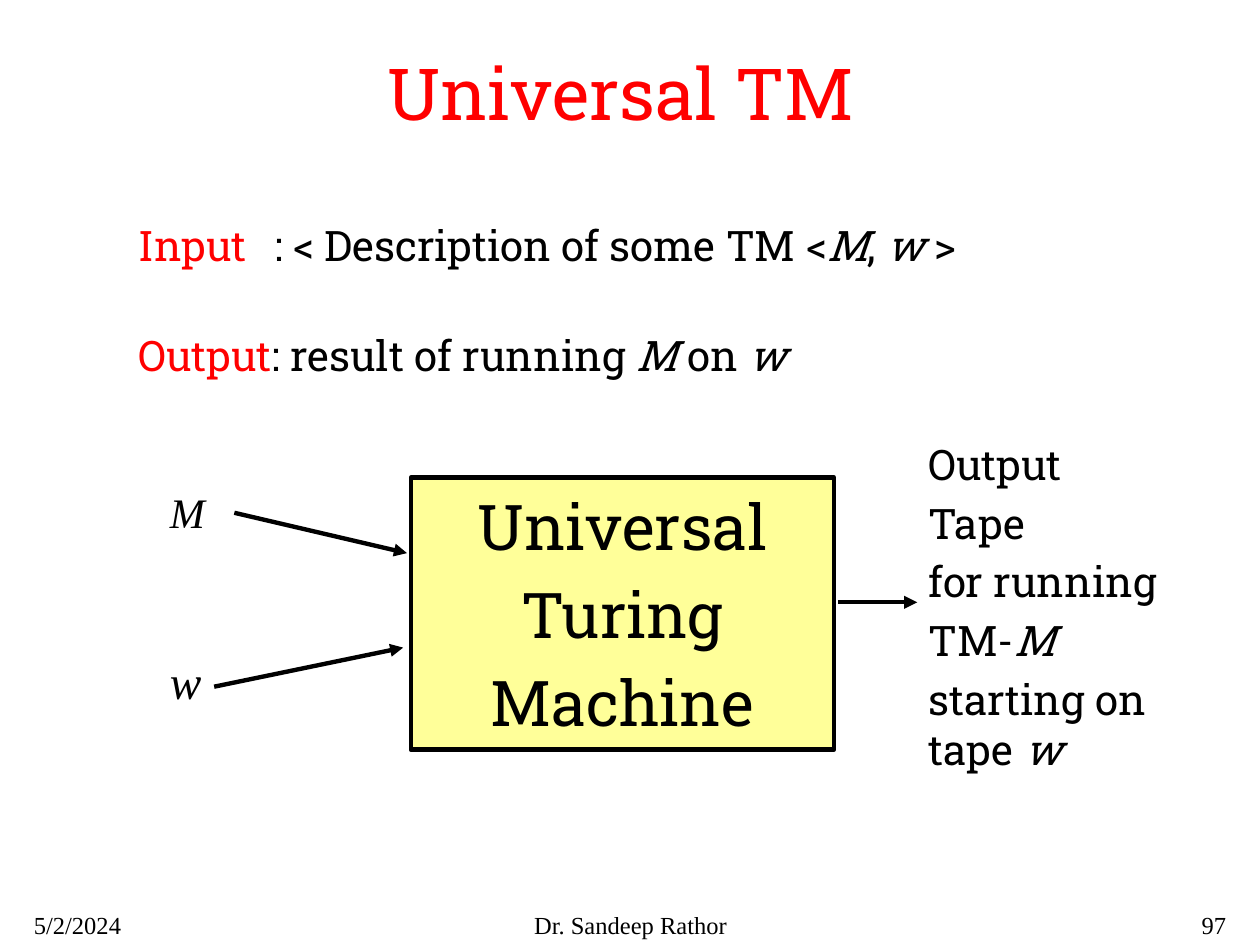
from lxml import etree
from pptx import Presentation
from pptx.dml.color import RGBColor
from pptx.enum.shapes import MSO_CONNECTOR as CONN, MSO_SHAPE as SHAPE
from pptx.enum.text import MSO_ANCHOR as ANCHOR, PP_ALIGN as ALIGN
from pptx.oxml.ns import qn
from pptx.util import Inches, Pt

COLORS = {"red": "FF0000", "black": "000000", "yellow": "FFFF99", "line": "000000"}
SLAB, TIMES = "Roboto Slab", "Times New Roman"


def rgb(name):
    return RGBColor.from_string(COLORS[name])


def set_text(sp, paragraphs, size=24, font=SLAB, align=ALIGN.LEFT,
             anchor=ANCHOR.TOP, gap=None, wrap=True, tab=None):
    """Each paragraph is a list of strings or (string, style) pairs."""
    tf = sp.text_frame
    tf.word_wrap, tf.vertical_anchor = wrap, anchor
    for i, parts in enumerate(paragraphs):
        p = tf.paragraphs[0] if i == 0 else tf.add_paragraph()
        p.alignment = align
        if i:
            p.space_before = Pt(size * 0.2 if gap is None else gap)
        if tab and i == 0:
            tabs = etree.SubElement(p._p.get_or_add_pPr(), qn("a:tabLst"))
            etree.SubElement(tabs, qn("a:tab"), pos=str(Inches(tab)), algn="l")
        for part in parts:
            if part == "\n":
                p.add_line_break()
                continue
            text, style = part if isinstance(part, tuple) else (part, "")
            r = p.add_run()
            r.text = text
            r.font.name, r.font.size = font, Pt(size)
            r.font.italic = style == "italic"
            r.font.color.rgb = rgb("red" if style == "red" else "black")


def add_text(slide, box, paragraphs, **fmt):
    sp = slide.shapes.add_textbox(*map(Inches, box))
    set_text(sp, paragraphs, **fmt)


def add_arrow(slide, start, end):
    line = slide.shapes.add_connector(CONN.STRAIGHT, *map(Inches, start + end))
    line.line.color.rgb = rgb("line")
    line.line.width = Pt(2.5)
    etree.SubElement(line.line._get_or_add_ln(), qn("a:tailEnd"), type="triangle")
    etree.SubElement(line._element.spPr, qn("a:effectLst"))


def add_definition(slide, box):
    add_text(slide, box, [
        [("Input", "red"), "\t: < Description of some TM <", ("M", "italic"), ", ",
         ("w", "italic"), " >"],
        [("Output", "red"), ": result of running ", ("M", "italic"), " on ",
         ("w", "italic")],
    ], gap=34, tab=1.08)


def add_machine(slide, box):
    x, y, w, h = box
    sp = slide.shapes.add_shape(SHAPE.RECTANGLE, *map(Inches, box))
    sp.shadow.inherit = False
    sp.fill.solid()
    sp.fill.fore_color.rgb = rgb("yellow")
    sp.line.color.rgb = rgb("line")
    sp.line.width = Pt(2.5)
    set_text(sp, [["Universal"], ["Turing"], ["Machine"]], size=36,
             align=ALIGN.CENTER, anchor=ANCHOR.MIDDLE)

    # Inputs on the left
    add_text(slide, (x - 2.01, y + 0.02, 0.94, 0.51), [[("M", "italic")]], font=TIMES)
    add_text(slide, (x - 2.01, y + 1.34, 0.45, 0.56), [[("w", "italic")]],
             size=27, font=TIMES, wrap=False)
    add_arrow(slide, (x - 1.4, y + 0.28), (x - 0.03, y + 0.6))
    add_arrow(slide, (x - 1.56, y + 1.66), (x - 0.06, y + 1.35))

    # Output on the right
    right = x + w
    add_arrow(slide, (right + 0.03, y + 0.99), (right + 0.66, y + 0.99))
    add_text(slide, (right + 0.65, y - 0.36, 2.65, 2.85), [
        ["Output"], ["Tape"], ["for running"], ["TM-", ("M", "italic")],
        ["starting on", "\n", "tape ", ("w", "italic")],
    ])


def add_footer(slide, box):
    x, y, w, h = box
    for text, left, width, align in (
        ("5/2/2024", x, 2.08, ALIGN.LEFT),
        ("Dr. Sandeep Rathor", x + 3.25, 3.17, ALIGN.CENTER),
        ("97", x + w - 2.08, 2.08, ALIGN.RIGHT),
    ):
        add_text(slide, (left, y, width, h), [[text]], size=14, font=TIMES, align=align)


def main():
    prs = Presentation()
    prs.slide_width, prs.slide_height = Inches(10), Inches(7.5)
    slide = prs.slides.add_slide(prs.slide_layouts[6])
    add_text(slide, (0.68, 0.26, 8.5, 0.94), [[("Universal TM", "red")]], size=41,
             align=ALIGN.CENTER, anchor=ANCHOR.MIDDLE)
    add_definition(slide, (1, 1.69, 8.75, 1.39))
    add_machine(slide, (3.26, 3.79, 3.36, 2.16))
    add_footer(slide, (0.17, 7.17, 9.66, 0.33))
    prs.save("out.pptx")


if __name__ == "__main__":
    main()
